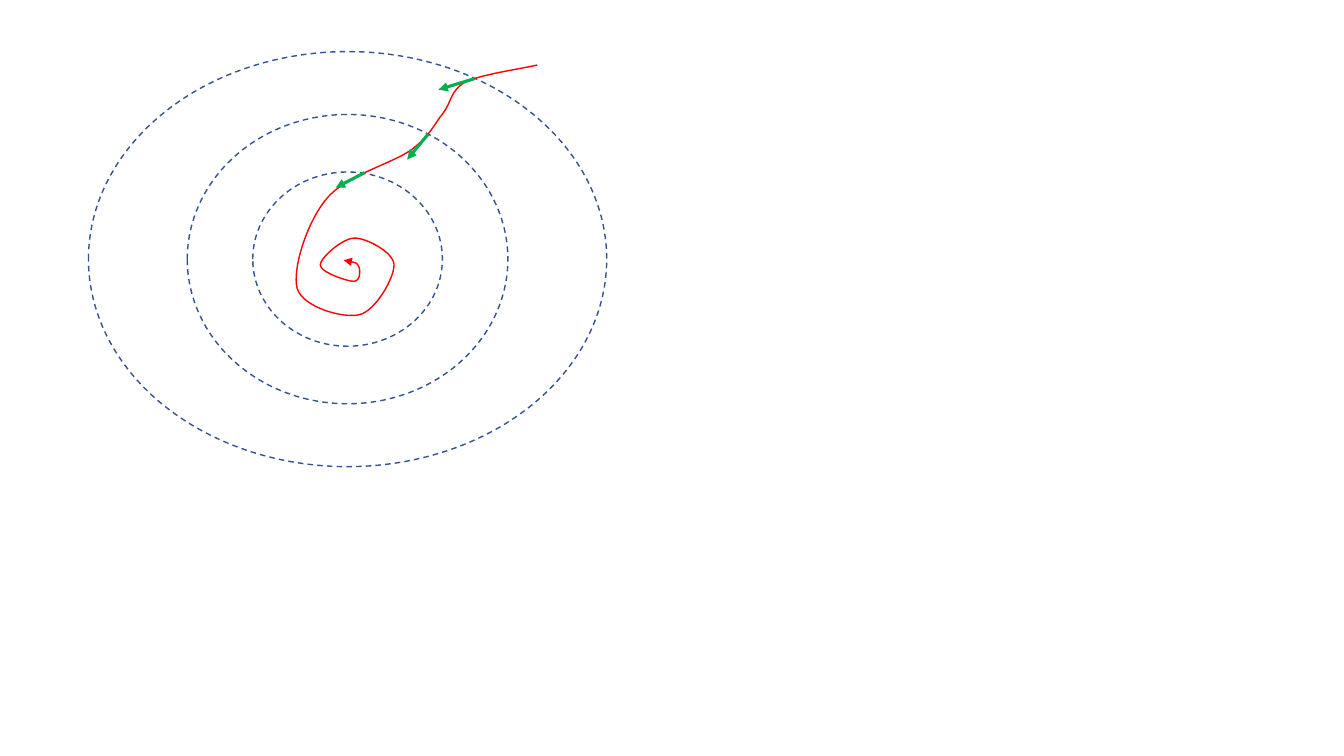
from lxml import etree
from pptx import Presentation
from pptx.dml.color import RGBColor
from pptx.enum import dml, shapes
from pptx.oxml import ns
from pptx.util import Cm, Pt

RING_SIZES = [(13.06, 10.46), (8.08, 7.29), (4.78, 4.39)]

# Offsets in cm from the centre of the rings
ENTRY = (4.78, -4.89)
# Each row: two control points and the end of one curve
SPIRAL = [
    ((4.29, -4.78), (3.33, -4.65), (2.95, -4.45)),
    ((2.59, -4.24), (2.62, -3.96), (2.41, -3.68)),
    ((2.18, -3.40), (2.11, -3.15), (1.63, -2.77)),
    ((1.14, -2.41), (-0.05, -2.11), (-0.53, -1.52)),
    ((-1.02, -0.94), (-1.40, 0.25), (-1.27, 0.74)),
    ((-1.12, 1.22), (-0.10, 1.50), (0.30, 1.40)),
    ((0.71, 1.30), (1.19, 0.46), (1.17, 0.13)),
    ((1.14, -0.18), (0.48, -0.53), (0.18, -0.53)),
    ((-0.13, -0.53), (-0.69, -0.03), (-0.69, 0.15)),
    ((-0.69, 0.33), (0, 0.56), (0.15, 0.56)),
    ((0.33, 0.56), (0.33, 0.28), (0.28, 0.18)),
    ((0.23, 0.08), (0.05, 0.05), (-0.10, 0.03)),
]
TANGENTS = [
    ((3.20, -4.55), (2.29, -4.27)),
    ((2.03, -3.15), (1.50, -2.51)),
    ((0.43, -2.18), (-0.30, -1.80)),
]


def color(hex_code):
    return RGBColor.from_string(hex_code)


def style_line(line, hex_code, width, dashed=False, arrow=False):
    line.color.rgb = color(hex_code)
    line.width = Pt(width)
    if dashed:
        line.dash_style = dml.MSO_LINE.DASH
    if arrow:
        etree.SubElement(line._get_or_add_ln(), ns.qn("a:tailEnd"), type="triangle")


def add_ring(slide, center, size):
    (cx, cy), (width, height) = center, size
    ring = slide.shapes.add_shape(
        shapes.MSO_SHAPE.OVAL,
        Cm(cx - width / 2), Cm(cy - height / 2), Cm(width), Cm(height))
    ring.shadow.inherit = False
    ring.fill.background()
    style_line(ring.line, "325491", 1, dashed=True)


def curve_segments(freeform):
    """Turn each three straight segments into one Bezier curve."""
    segments = list(freeform._element.iter(ns.qn("a:lnTo")))
    for first in range(0, len(segments), 3):
        curve = etree.Element(ns.qn("a:cubicBezTo"))
        segments[first].addprevious(curve)
        for segment in segments[first:first + 3]:
            curve.append(segment[0])
            segment.getparent().remove(segment)


def add_spiral(slide, place):
    builder = slide.shapes.build_freeform(*place(ENTRY))
    builder.add_line_segments(
        [place(point) for curve in SPIRAL for point in curve], close=False)
    spiral = builder.convert_to_shape()
    curve_segments(spiral)
    spiral.shadow.inherit = False
    spiral.fill.background()
    style_line(spiral.line, "FF0000", 1, arrow=True)


def add_tangent(slide, start, end):
    tangent = slide.shapes.add_connector(
        shapes.MSO_CONNECTOR.STRAIGHT, *start, *end)
    style_line(tangent.line, "00B050", 2.25, arrow=True)
    etree.SubElement(tangent._element.spPr, ns.qn("a:effectLst"))


def add_descent_diagram(slide, left, top, width, height):
    """Draw level rings, the path into their centre and its tangents."""
    center = (left + width / 2, top + height / 2)

    def place(offset):
        return Cm(center[0] + offset[0]), Cm(center[1] + offset[1])

    for size in RING_SIZES:
        add_ring(slide, center, size)
    add_spiral(slide, place)
    for start, end in TANGENTS:
        add_tangent(slide, place(start), place(end))


def main():
    deck = Presentation()
    deck.slide_width, deck.slide_height = Cm(33.87), Cm(19.05)
    slide = deck.slides.add_slide(deck.slide_layouts[6])
    add_descent_diagram(slide, 2.23, 1.3, *RING_SIZES[0])
    deck.save("out.pptx")


if __name__ == "__main__":
    main()
